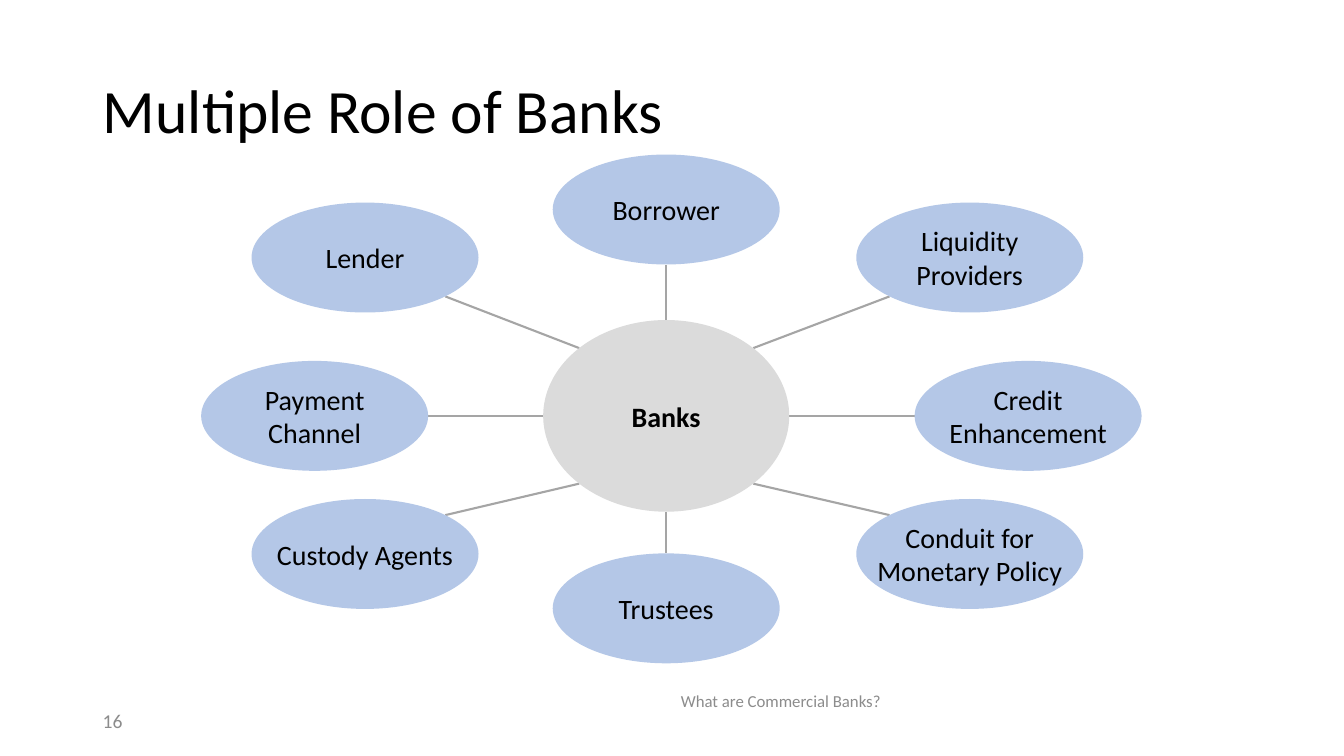
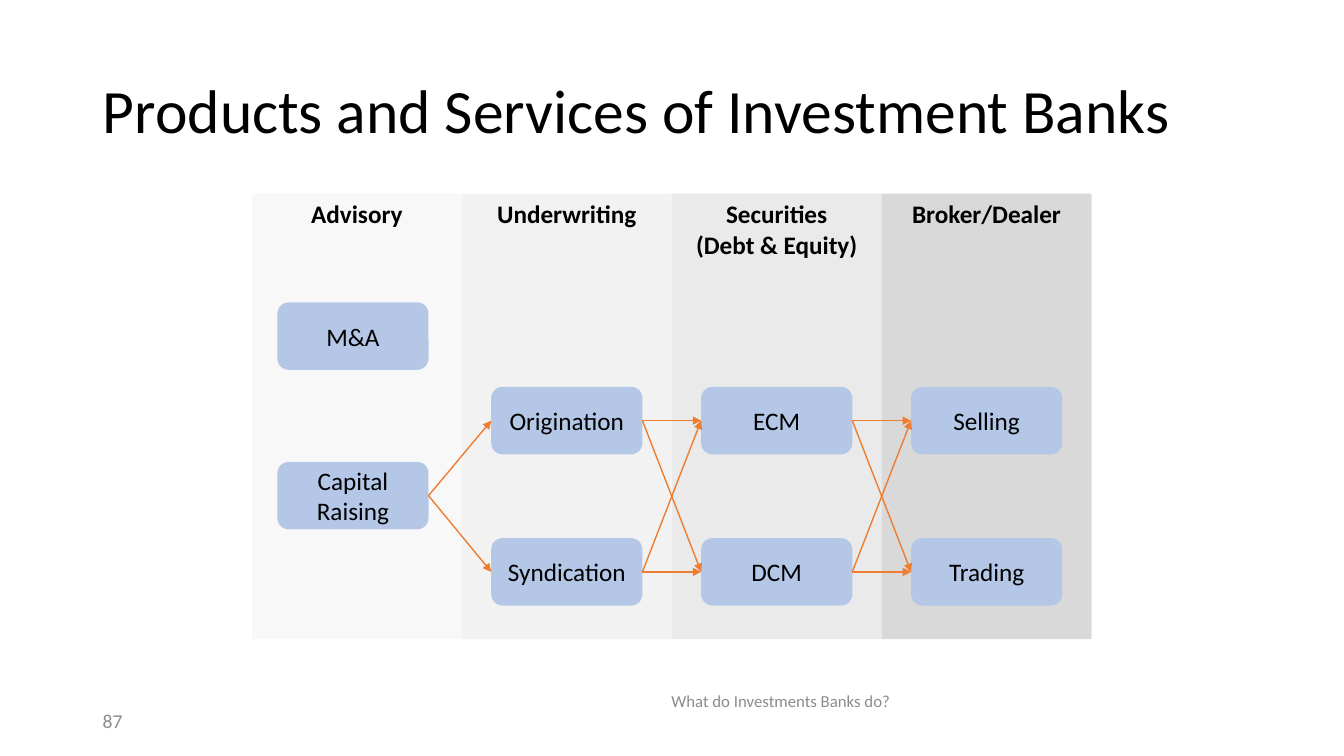
from lxml import etree
from pptx import Presentation
from pptx import util as u
from pptx.dml import color
from pptx.enum import shapes, text
from pptx.oxml import ns
import math

FONT = "Calibri"
BLACK, MUTED = "000000", "8C8C8C"
BLUE, HUB_GREY, LINE_GREY, ORANGE = "B4C7E7", "DBDBDB", "A5A5A5", "ED7D31"

TITLE_BOX = (2.34, 1.02, 29.21, 3.68)
NUMBER_BOX = (2.34, 17.65, 7.62, 1.02)
FOOTER_BOX = (9.75, 17.07, 19.86, 1.19)
ROLES_BOX = (5.08, 3.91, 23.42, 13.14)
SERVICES_BOX = (6.35, 4.88, 21.16, 11.23)

HUB_SIZE = (6.2, 4.83)
ROLE_SIZE = (5.72, 2.77)
ROLES = [
    ("Borrower", 0, -5.2),
    ("Liquidity\nProviders", 7.65, -3.99),
    ("Credit\nEnhancement", 9.12, 0),
    ("Conduit for\nMonetary Policy", 7.65, 3.48),
    ("Trustees", 0, 4.85),
    ("Custody Agents", -7.59, 3.48),
    ("Payment\nChannel", -8.86, 0),
    ("Lender", -7.59, -3.99),
]

STEP_SIZE = (3.81, 1.7)
UPPER, LOWER = 4.87, 8.68
COLUMNS = [
    ("Advisory", "F8F8F8", 0.64, [("M&A", 2.74), ("Capital Raising", 6.76)]),
    ("Underwriting", "F2F2F2", 0.74, [("Origination", UPPER), ("Syndication", LOWER)]),
    ("Securities\n(Debt & Equity)", "EAEAEA", 0.74, [("ECM", UPPER), ("DCM", LOWER)]),
    ("Broker/Dealer", "D9D9D9", 0.74, [("Selling", UPPER), ("Trading", LOWER)]),
]


def paint(target, hex_colour):
    if hasattr(target, "solid"):
        target.solid()
        target = target.fore_color
    else:
        target = target.color
    target.rgb = color.RGBColor.from_string(hex_colour)


def write(frame, words, size, colour=BLACK, bold=False, align="CENTER",
          anchor="MIDDLE", wrap=True, spacing=None):
    frame.word_wrap = wrap
    frame.auto_size = text.MSO_AUTO_SIZE.NONE
    frame.vertical_anchor = getattr(text.MSO_ANCHOR, anchor)
    for index, line in enumerate(words.split("\n")):
        para = frame.add_paragraph() if index else frame.paragraphs[0]
        para.alignment = getattr(text.PP_ALIGN, align)
        if spacing:
            para.line_spacing = spacing
        span = para.add_run()
        span.text = line
        span.font.name, span.font.size, span.font.bold = FONT, u.Pt(size), bold
        paint(span.font, colour)


def add_label(page, box, words, size, **style):
    label = page.shapes.add_textbox(*map(u.Cm, box))
    write(label.text_frame, words, size, **style)


def add_block(page, kind, box, fill, words, size, **style):
    block = page.shapes.add_shape(getattr(shapes.MSO_SHAPE, kind), *map(u.Cm, box))
    block.shadow.inherit = False
    paint(block.fill, fill)
    block.line.fill.background()
    write(block.text_frame, words, size, **style)
    return block


def add_line(page, colour, width, start=(0, 0), end=(0, 0)):
    line = page.shapes.add_connector(shapes.MSO_CONNECTOR.STRAIGHT, *map(u.Cm, start + end))
    paint(line.line, colour)
    line.line.width = u.Pt(width)
    etree.SubElement(line._element.spPr, ns.qn("a:effectLst"))
    return line


def add_arrow(page, source, target):
    arrow = add_line(page, ORANGE, 1)
    arrow.begin_connect(source, 3)
    arrow.end_connect(target, 1)
    etree.SubElement(arrow.line._get_or_add_ln(), ns.qn("a:tailEnd"), type="triangle")


def add_page(deck, title, number, footer):
    page = deck.slides.add_slide(deck.slide_layouts[5])
    heading = page.shapes.title
    heading.left, heading.top, heading.width, heading.height = map(u.Cm, TITLE_BOX)
    write(heading.text_frame, title, 44, align="LEFT", spacing=0.9)
    add_label(page, NUMBER_BOX, number, 14, colour=MUTED, align="LEFT")
    add_label(page, FOOTER_BOX, footer, 12, colour=MUTED)
    return page


def rim_point(centre, size, dx, dy):
    reach = math.sqrt(0.5) if dx and dy else 1
    return tuple(
        middle + (math.copysign(reach, step) * extent / 2 if step else 0)
        for middle, extent, step in zip(centre, size, (dx, dy))
    )


def add_oval(page, centre, size, fill, words, **style):
    corner = tuple(middle - extent / 2 for middle, extent in zip(centre, size))
    add_block(page, "OVAL", corner + size, fill, words, 20, wrap=False, **style)


def draw_roles(page, box):
    left, top, width, height = box
    hub = (left + width / 2, top + height / 2)
    for words, dx, dy in ROLES:
        centre = (hub[0] + dx, hub[1] + dy)
        add_line(page, LINE_GREY, 1.5, rim_point(hub, HUB_SIZE, dx, dy),
                 rim_point(centre, ROLE_SIZE, -dx, -dy))
        add_oval(page, centre, ROLE_SIZE, BLUE, words)
    add_oval(page, hub, HUB_SIZE, HUB_GREY, "Banks", bold=True)


def draw_services(page, box):
    left, top, width, height = box
    band_width = width / len(COLUMNS)
    stages = []
    for index, (heading, fill, inset, steps) in enumerate(COLUMNS):
        band_left = left + index * band_width
        add_block(page, "RECTANGLE", (band_left, top, band_width, height), fill,
                  heading, 18, bold=True, anchor="TOP")
        stages.append([
            add_block(page, "ROUNDED_RECTANGLE",
                      (band_left + inset, top + offset) + STEP_SIZE, BLUE, words, 18)
            for words, offset in steps
        ])
    stages[0] = stages[0][1:]
    for sources, targets in zip(stages, stages[1:]):
        for source in sources:
            for target in targets:
                add_arrow(page, source, target)


def main():
    deck = Presentation()
    deck.slide_width, deck.slide_height = u.Cm(33.87), u.Cm(19.05)
    draw_roles(add_page(deck, "Multiple Role of Banks", "16",
                        "What are Commercial Banks?"), ROLES_BOX)
    draw_services(add_page(deck, "Products and Services of Investment Banks", "87",
                           "What do Investments Banks do?"), SERVICES_BOX)
    deck.save("out.pptx")


if __name__ == "__main__":
    main()
